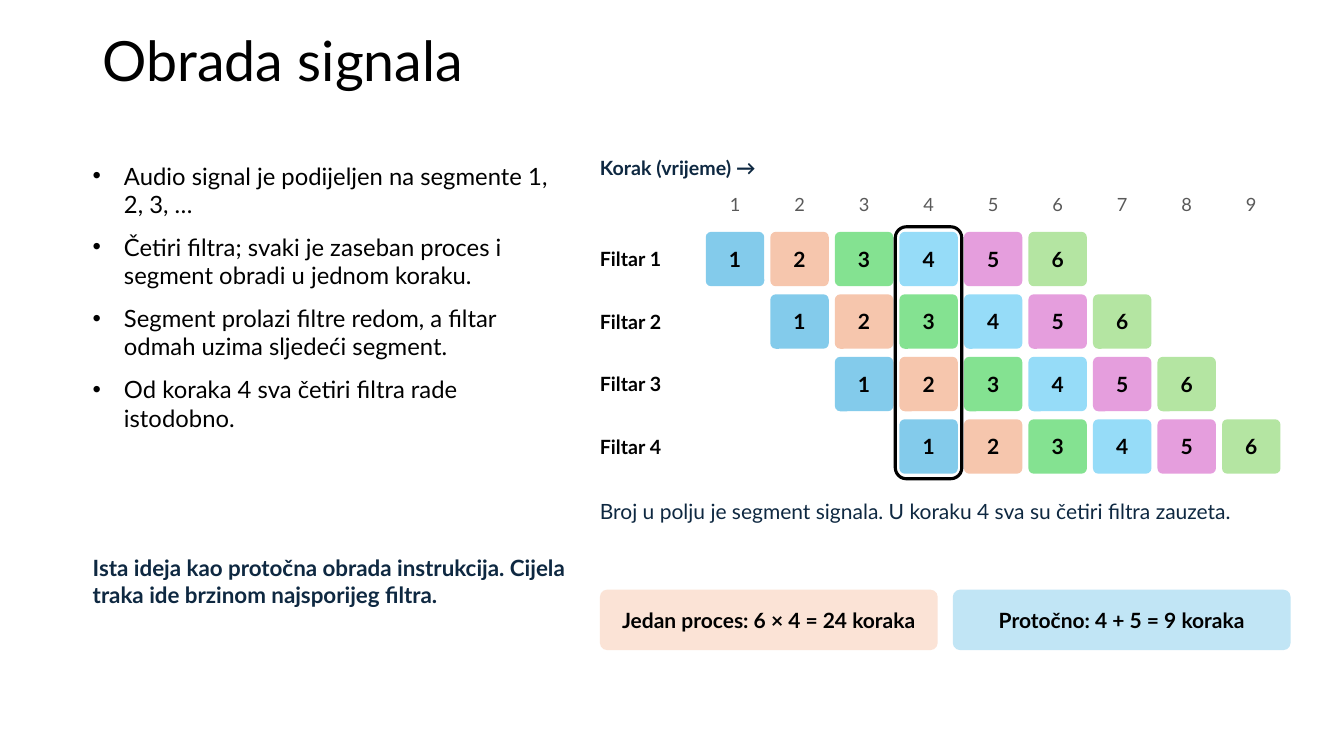
from lxml import etree
from pptx import Presentation
from pptx.dml.color import RGBColor
from pptx.enum.shapes import MSO_SHAPE
from pptx.enum.text import MSO_ANCHOR, PP_ALIGN
from pptx.oxml.ns import qn
from pptx.util import Inches, Pt

FONT = "Lato"
BLACK = RGBColor(0x00, 0x00, 0x00)
NAVY = RGBColor(0x0E, 0x28, 0x41)
GRAY = RGBColor(0x59, 0x59, 0x59)
PEACH = RGBColor(0xFB, 0xE3, 0xD6)
PALE_BLUE = RGBColor(0xC1, 0xE5, 0xF5)
SEGMENT_COLORS = [
    RGBColor(0x83, 0xCB, 0xEB),
    RGBColor(0xF6, 0xC6, 0xAD),
    RGBColor(0x84, 0xE2, 0x91),
    RGBColor(0x96, 0xDC, 0xF8),
    RGBColor(0xE5, 0x9E, 0xDD),
    RGBColor(0xB4, 0xE5, 0xA2),
]

FILTERS = 4
STEPS = FILTERS + len(SEGMENT_COLORS) - 1
BUSY_STEP = 4

BULLETS = [
    "Audio signal je podijeljen na segmente 1, 2, 3, …",
    "Četiri filtra; svaki je zaseban proces i segment obradi u jednom koraku.",
    "Segment prolazi filtre redom, a filtar odmah uzima sljedeći segment.",
    "Od koraka 4 sva četiri filtra rade istodobno.",
]
RESULTS = [
    ("Jedan proces: 6 × 4 = 24 koraka", PEACH),
    ("Protočno: 4 + 5 = 9 koraka", PALE_BLUE),
]


def inches(box):
    return [Inches(round(length, 2)) for length in box]


def write(shape, *lines, size, color=BLACK, bold=False, align=PP_ALIGN.LEFT,
          anchor=MSO_ANCHOR.TOP, margins=(0, 0), bulleted=False, line_spacing=None):
    """Fill a shape with one paragraph per line; margins are horizontal, vertical."""
    frame = shape.text_frame
    frame.word_wrap = True
    frame.vertical_anchor = anchor
    frame.margin_left = frame.margin_right = Inches(margins[0])
    frame.margin_top = frame.margin_bottom = Inches(margins[1])
    for index, line in enumerate(lines):
        paragraph = frame.paragraphs[0] if index == 0 else frame.add_paragraph()
        paragraph.alignment = align
        if line_spacing:
            paragraph.line_spacing = line_spacing
        if bulleted:
            paragraph.space_after = Pt(10)
            add_bullet(paragraph)
        run = paragraph.add_run()
        run.text = line
        run.font.name = FONT
        run.font.size = Pt(size)
        run.font.bold = bold
        run.font.color.rgb = color


def add_bullet(paragraph):
    properties = paragraph._p.get_or_add_pPr()
    indent = Inches(0.31)
    properties.set("marL", str(indent))
    properties.set("indent", str(-indent))
    etree.SubElement(properties, qn("a:buFont")).set("typeface", "Arial")
    etree.SubElement(properties, qn("a:buChar")).set("char", "•")


def add_text(slide, box, *lines, **text_format):
    write(slide.shapes.add_textbox(*inches(box)), *lines, **text_format)


def add_rounded(slide, box, rounding):
    shape = slide.shapes.add_shape(MSO_SHAPE.ROUNDED_RECTANGLE, *inches(box))
    shape.adjustments[0] = rounding
    shape.shadow.inherit = False
    return shape


def add_tile(slide, box, text, fill, rounding):
    """Draw a filled rounded box with a bold centred label."""
    tile = add_rounded(slide, box, rounding)
    tile.fill.solid()
    tile.fill.fore_color.rgb = fill
    tile.line.fill.background()
    write(tile, text, size=15, bold=True, align=PP_ALIGN.CENTER,
          anchor=MSO_ANCHOR.MIDDLE, margins=(0.05, 0.02))


def add_explanation(slide, box):
    """Place the bullets at the top of the box and the conclusion below."""
    left, top, width, height = box
    conclusion_height = 1.3
    add_text(slide, (left, top, width, 3.6), *BULLETS, size=17, bulleted=True)
    add_text(slide, (left, top + height - conclusion_height, width, conclusion_height),
             "Ista ideja kao protočna obrada instrukcija. "
             "Cijela traka ide brzinom najsporijeg filtra.",
             size=16, color=NAVY, bold=True)


def add_pipeline(slide, box):
    """Draw the step numbers, one shifted row per filter, and the busy step."""
    left, top, width, height = box
    tile_width, tile_height = 0.58, 0.54
    column_pitch, row_pitch = 0.64, 0.62
    grid_left, grid_top = left + 1.05, top + 0.75

    add_text(slide, (left, top, width - 0.1, 0.35), "Korak (vrijeme) →",
             size=14, color=NAVY, bold=True)
    for step in range(STEPS):
        add_text(slide, (grid_left + step * column_pitch, top + 0.37, tile_width, 0.3),
                 str(step + 1), size=13, color=GRAY, align=PP_ALIGN.CENTER)

    for row in range(FILTERS):
        row_top = grid_top + row * row_pitch
        add_text(slide, (left, row_top, 1, tile_height), f"Filtar {row + 1}",
                 size=14, bold=True, anchor=MSO_ANCHOR.MIDDLE)
        for segment, color in enumerate(SEGMENT_COLORS):
            tile_left = grid_left + (row + segment) * column_pitch
            add_tile(slide, (tile_left, row_top, tile_width, tile_height),
                     str(segment + 1), color, rounding=0.1)

    margin_x, margin_y = 0.04, 0.05
    busy_left = grid_left + (BUSY_STEP - 1) * column_pitch
    grid_height = (FILTERS - 1) * row_pitch + tile_height
    highlight = add_rounded(
        slide,
        (busy_left - margin_x, grid_top - margin_y,
         tile_width + 2 * margin_x, grid_height + 2 * margin_y),
        rounding=0.1667)
    highlight.fill.background()
    highlight.line.color.rgb = BLACK
    highlight.line.width = Pt(2.25)

    caption_height = 0.7
    add_text(slide, (left, top + height - caption_height, width, caption_height),
             "Broj u polju je segment signala. U koraku 4 sva su četiri filtra zauzeta.",
             size=15, color=NAVY)


def add_results(slide, box):
    left, top, width, height = box
    gap = 0.15
    tile_width = (width - gap) / len(RESULTS)
    for index, (text, fill) in enumerate(RESULTS):
        add_tile(slide, (left + index * (tile_width + gap), top, tile_width, height),
                 text, fill, rounding=0.12)


def main():
    presentation = Presentation()
    presentation.slide_width = Inches(13.33)
    presentation.slide_height = Inches(7.5)
    slide = presentation.slides.add_slide(presentation.slide_layouts[6])
    add_text(slide, (0.92, 0.33, 11.5, 1.06), "Obrada signala",
             size=39.6, margins=(0.1, 0), line_spacing=0.9)
    add_explanation(slide, (0.92, 1.6, 4.7, 5.2))
    add_pipeline(slide, (5.95, 1.55, 6.9, 4.1))
    add_results(slide, (5.95, 5.85, 6.85, 0.6))
    presentation.save("out.pptx")


if __name__ == "__main__":
    main()
